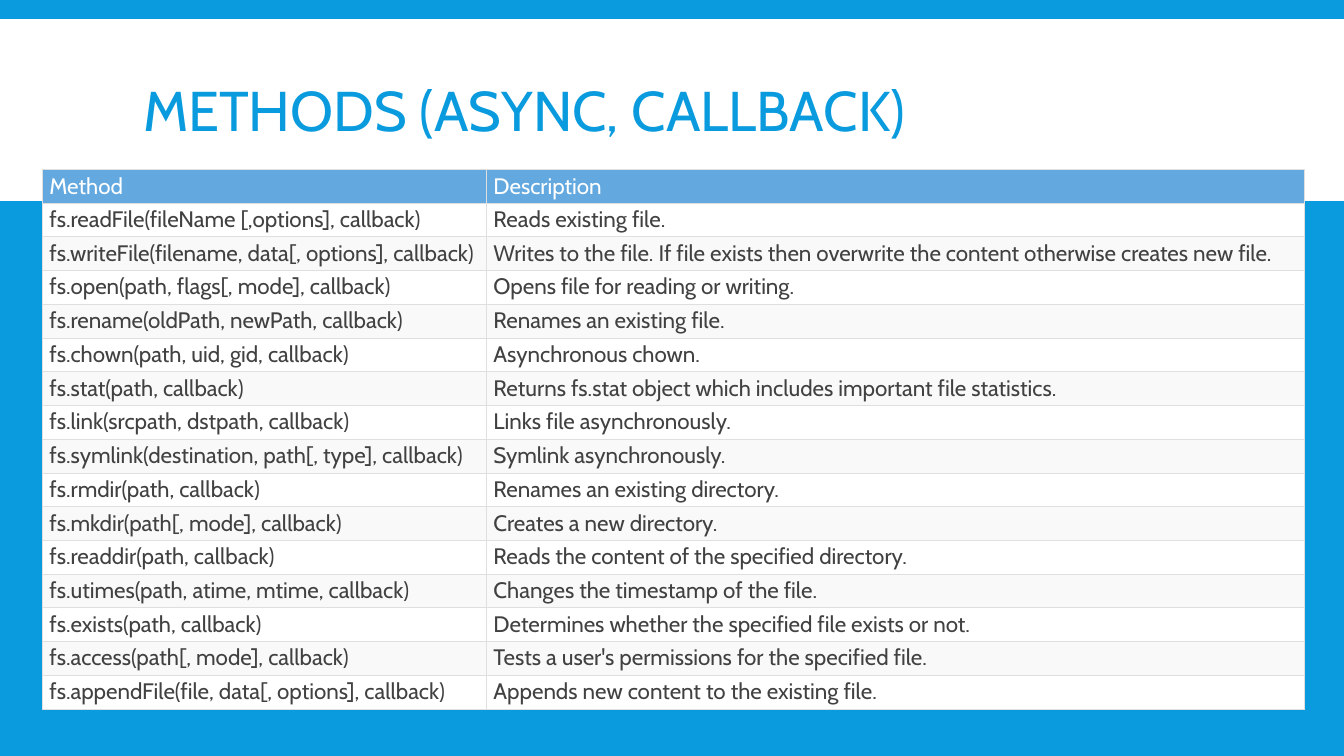
from lxml import etree
from pptx import Presentation
from pptx import util as u
from pptx.dml.color import RGBColor
from pptx.enum import shapes, text
from pptx.oxml import ns

BLUE = RGBColor(0x09, 0x9B, 0xDD)
HEADER = RGBColor(0x63, 0xA9, 0xE0)
WHITE = RGBColor(0xFF, 0xFF, 0xFF)
STRIPE = RGBColor(0xF9, 0xF9, 0xF9)
INK = RGBColor(0x41, 0x41, 0x41)
BORDER = RGBColor(0xDF, 0xDF, 0xDF)

METHODS = [
    ("Method", "Description"),
    ("fs.readFile(fileName [,options], callback)", "Reads existing file."),
    ("fs.writeFile(filename, data[, options], callback)",
     "Writes to the file. If file exists then overwrite the content otherwise creates new file."),
    ("fs.open(path, flags[, mode], callback)", "Opens file for reading or writing."),
    ("fs.rename(oldPath, newPath, callback)", "Renames an existing file."),
    ("fs.chown(path, uid, gid, callback)", "Asynchronous chown."),
    ("fs.stat(path, callback)", "Returns fs.stat object which includes important file statistics."),
    ("fs.link(srcpath, dstpath, callback)", "Links file asynchronously."),
    ("fs.symlink(destination, path[, type], callback)", "Symlink asynchronously."),
    ("fs.rmdir(path, callback)", "Renames an existing directory."),
    ("fs.mkdir(path[, mode], callback)", "Creates a new directory."),
    ("fs.readdir(path, callback)", "Reads the content of the specified directory."),
    ("fs.utimes(path, atime, mtime, callback)", "Changes the timestamp of the file."),
    ("fs.exists(path, callback)", "Determines whether the specified file exists or not."),
    ("fs.access(path[, mode], callback)", "Tests a user's permissions for the specified file."),
    ("fs.appendFile(file, data[, options], callback)", "Appends new content to the existing file."),
]


def write(tf, content, size=16, color=INK, font="Cabin", spacing=None):
    p = tf.paragraphs[0]
    p.alignment = text.PP_ALIGN.LEFT
    p.line_spacing = spacing
    r = p.add_run()
    r.text = content
    r.font.size, r.font.name = u.Pt(size), font
    r.font.color.rgb = color


def add_borders(cell, color, width):
    tc_pr = cell._tc.get_or_add_tcPr()
    for side in ("a:lnL", "a:lnR", "a:lnT", "a:lnB"):
        ln = etree.SubElement(tc_pr, ns.qn(side), w=str(u.Pt(width)))
        fill = etree.SubElement(ln, ns.qn("a:solidFill"))
        etree.SubElement(fill, ns.qn("a:srgbClr"), val=str(color))


class Deck:
    def __init__(self, width, height):
        self.prs = Presentation()
        self.prs.slide_width, self.prs.slide_height = u.Pt(width), u.Pt(height)

    def slide(self, background):
        self.s = self.prs.slides.add_slide(self.prs.slide_layouts[5])
        fill = self.s.background.fill
        fill.solid()
        fill.fore_color.rgb = background

    def band(self, x, y, w, h, color):
        sp = self.s.shapes.add_shape(shapes.MSO_SHAPE.RECTANGLE, *map(u.Pt, (x, y, w, h)))
        sp.shadow.inherit = False
        sp.fill.solid()
        sp.fill.fore_color.rgb = color
        sp.line.fill.background()
        self.s.shapes.title.element.addprevious(sp.element)

    def title(self, content, x, y, w, h):
        sp = self.s.shapes.title
        sp.left, sp.top, sp.width, sp.height = map(u.Pt, (x, y, w, h))
        tf = sp.text_frame
        tf.word_wrap = True
        tf.auto_size = text.MSO_AUTO_SIZE.NONE
        tf.vertical_anchor = text.MSO_ANCHOR.MIDDLE
        write(tf, content, size=40, color=BLUE, spacing=0.85)

    def table(self, rows, x, y, widths, row_height):
        frame = self.s.shapes.add_table(len(rows), len(widths), u.Pt(x), u.Pt(y),
                                        u.Pt(sum(widths)), u.Pt(row_height * len(rows)))
        table = frame.table
        for column, width in zip(table.columns, widths):
            column.width = u.Pt(width)
        for i, row in enumerate(rows):
            table.rows[i].height = u.Pt(row_height)
            for j, content in enumerate(row):
                self.cell(table.cell(i, j), content, i)

    def cell(self, cell, content, row):
        header = row == 0
        cell.margin_left = cell.margin_right = u.Pt(5)
        cell.margin_top = cell.margin_bottom = u.Pt(2)
        cell.vertical_anchor = text.MSO_ANCHOR.BOTTOM if header else text.MSO_ANCHOR.TOP
        add_borders(cell, BORDER, 0.75)
        cell.fill.solid()
        cell.fill.fore_color.rgb = HEADER if header else WHITE if row % 2 else STRIPE
        write(cell.text_frame, content, color=WHITE if header else INK)


def main():
    deck = Deck(960, 540)
    deck.slide(BLUE)
    deck.band(0, 13.7, 960, 129.8, WHITE)
    deck.title("METHODS (ASYNC, CALLBACK)", 95, 22.3, 770.4, 118.8)
    deck.table(METHODS, 30.3, 121, (317.2, 584.2), 24.1)
    deck.prs.save("out.pptx")


if __name__ == "__main__":
    main()
